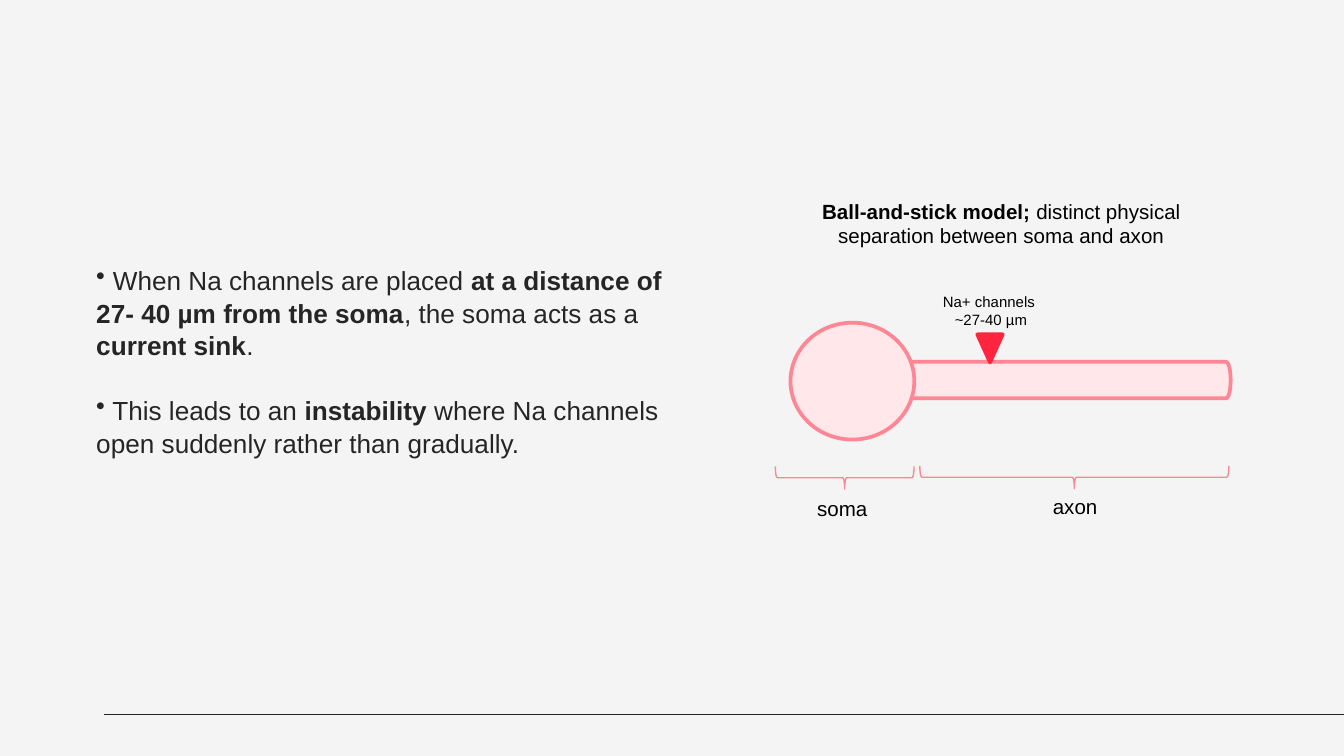
from lxml import etree
from pptx import Presentation
from pptx.dml.color import RGBColor
from pptx.enum.shapes import MSO_CONNECTOR, MSO_SHAPE
from pptx.enum.text import MSO_ANCHOR, PP_ALIGN
from pptx.oxml.ns import qn
from pptx.util import Cm, Pt

CAN, BALL = MSO_SHAPE.CAN, MSO_SHAPE.OVAL
BRACE, TRIANGLE = MSO_SHAPE.LEFT_BRACE, MSO_SHAPE.ISOSCELES_TRIANGLE
CENTER, BOTTOM = PP_ALIGN.CENTER, MSO_ANCHOR.BOTTOM
INK, BLACK, PINK, PALE, RED = "252525", "000000", "FF8795", "FFE7EA", "FF253F"


def rgb(value):
    return RGBColor.from_string(value)


def add_runs(p, runs, size, color):
    for text, bold in runs:
        r = p.add_run()
        r.text = text
        r.font.name = "Arial"
        r.font.size = Pt(size)
        r.font.bold = bold
        r.font.color.rgb = rgb(color)


prs = Presentation()
prs.slide_width, prs.slide_height = Cm(25.4), Cm(14.29)
s = prs.slides.add_slide(prs.slide_layouts[6])
s.background.fill.solid()
s.background.fill.fore_color.rgb = rgb("F4F4F4")

rule = s.shapes.add_connector(MSO_CONNECTOR.STRAIGHT, Cm(1.96), Cm(13.51), Cm(25.4), Cm(13.51))
rule.line.color.rgb = rgb(INK)
rule.line.width = Pt(0.75)
etree.SubElement(rule._element.spPr, qn("a:effectLst"))

bullets = [
    [(" When Na channels are placed ", False),
     ("at a distance of 27- 40 µm from the soma", True),
     (", the soma acts as a ", False), ("current sink", True), (".", False)],
    [(" This leads to an ", False), ("instability ", True),
     ("where Na channels open suddenly rather than gradually.", False)],
]
tf = s.shapes.add_textbox(Cm(1.57), Cm(4.34), Cm(11.48), Cm(4.45)).text_frame
tf.word_wrap = True
tf.vertical_anchor = BOTTOM
for i, runs in enumerate(bullets):
    p = tf.paragraphs[0] if i == 0 else tf.add_paragraph()
    pPr = p._p.get_or_add_pPr()
    pPr.set("marL", "0")
    pPr.set("indent", "0")
    etree.SubElement(pPr, qn("a:buChar")).set("char", "•")
    p.line_spacing = 1.05
    if i:
        p.space_before = Pt(16.8)
    add_runs(p, runs, 14, INK)

parts = [
    (CAN, 19.79, 4.06, 0.69, 6.25, 270, PALE, PINK, 2),
    (BALL, 14.94, 6.1, 2.34, 2.21, 0, PALE, PINK, 2),
    (BRACE, 15.75, 7.72, 0.43, 2.62, 270, None, PINK, 0.75),
    (BRACE, 20.09, 6.1, 0.43, 5.84, 270, None, PINK, 0.75),
    (TRIANGLE, 18.47, 6.32, 0.48, 0.53, 180, RED, RED, 2),
]
for kind, x, y, w, h, turn, fill, line, width in parts:
    sp = s.shapes.add_shape(kind, Cm(x), Cm(y), Cm(w), Cm(h))
    sp.rotation = turn
    sp.shadow.inherit = False
    if fill:
        sp.fill.solid()
        sp.fill.fore_color.rgb = rgb(fill)
    else:
        sp.fill.background()
    sp.line.color.rgb = rgb(line)
    sp.line.width = Pt(width)

labels = [
    (14.83, 9.25, 2.18, 0.74, 11, [[("soma", False)]]),
    (19.23, 9.22, 2.18, 0.74, 11, [[("axon", False)]]),
    (15.09, 3.63, 7.67, 1.19, 11,
     [[("Ball-and-stick model; ", True),
       ("distinct physical separation between soma and axon", False)]]),
    (17.09, 5.41, 3.28, 0.94, 8, [[("Na+ channels ", False)], [("~27-40 µm", False)]]),
]
for x, y, w, h, size, paragraphs in labels:
    tf = s.shapes.add_textbox(Cm(x), Cm(y), Cm(w), Cm(h)).text_frame
    tf.word_wrap = True
    for i, runs in enumerate(paragraphs):
        p = tf.paragraphs[0] if i == 0 else tf.add_paragraph()
        p.alignment = CENTER
        add_runs(p, runs, size, BLACK)

prs.save("out.pptx")
